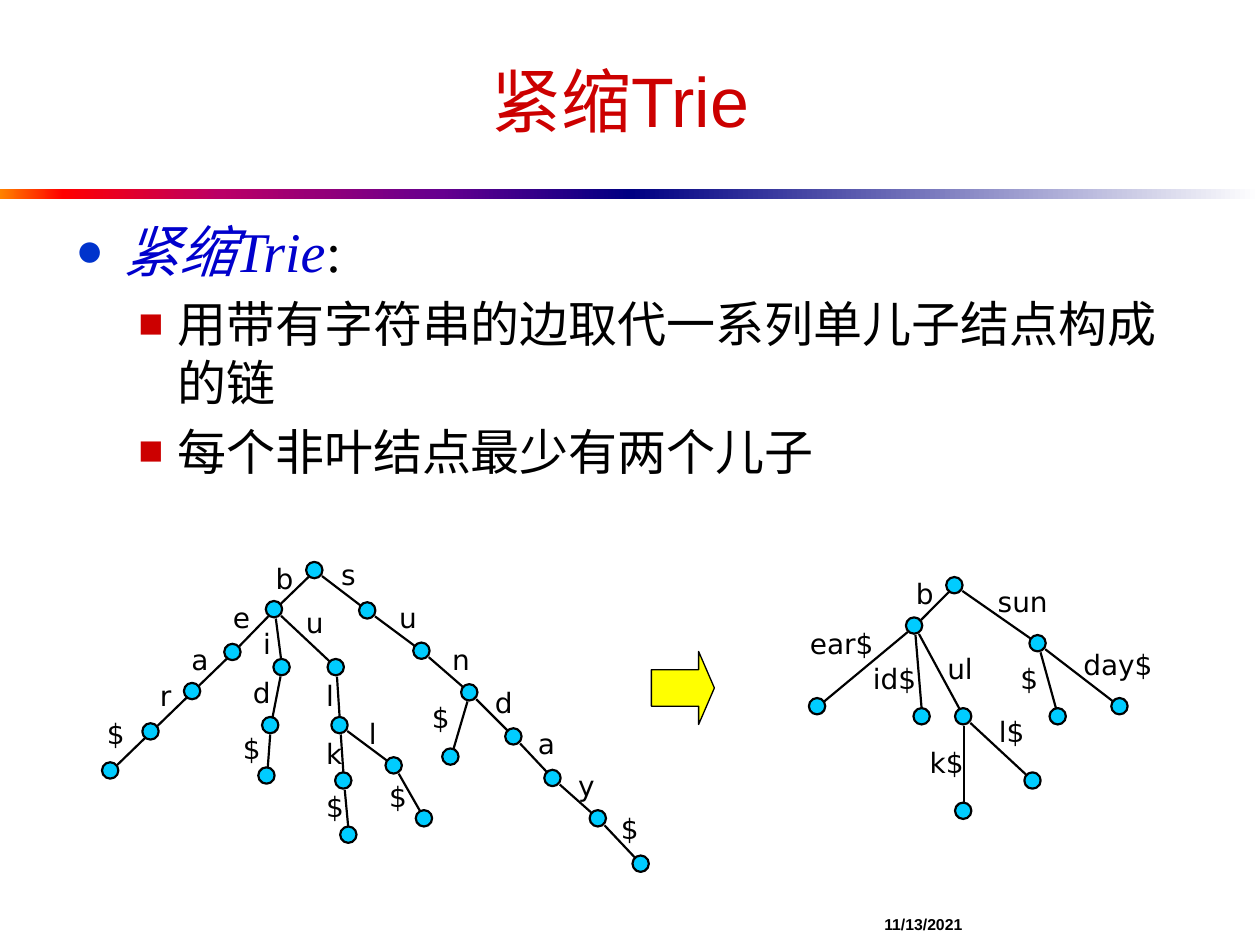
"""Build a slide that compares a plain trie with its compressed form."""
import math

import pptx
import pptx.dml.color
import pptx.enum.shapes
import pptx.enum.text
import pptx.oxml.ns
import pptx.util
from lxml import etree

SHAPES = pptx.enum.shapes.MSO_SHAPE
ANCHOR = pptx.enum.text.MSO_ANCHOR
ALIGN = pptx.enum.text.PP_ALIGN
qn = pptx.oxml.ns.qn

BLACK, RED = "000000", "CC0000"
PLAIN_TRIE = {
    "": (2.5, 4.53), "b": (2.18, 4.84, 2.09, 4.41), "s": (2.92, 4.85, 2.61, 4.38),
    "be": (1.85, 5.18, 1.75, 4.72), "bea": (1.53, 5.49, 1.42, 5.05),
    "bear": (1.2, 5.81, 1.17, 5.34), "bear$": (0.88, 6.12, 0.75, 5.64),
    "bi": (2.24, 5.3, 1.99, 4.92), "bid": (2.15, 5.76, 1.91, 5.31),
    "bid$": (2.12, 6.16, 1.83, 5.76), "bu": (2.67, 5.3, 2.33, 4.76),
    "bul": (2.7, 5.76, 2.49, 5.34), "bulk": (2.73, 6.2, 2.49, 5.8),
    "bulk$": (2.77, 6.63, 2.49, 6.22), "bull": (3.13, 6.08, 2.83, 5.64),
    "bull$": (3.37, 6.5, 2.99, 6.14), "su": (3.35, 5.17, 3.07, 4.72),
    "sun": (3.73, 5.5, 3.49, 5.05), "sun$": (3.58, 6.01, 3.33, 5.51),
    "sund": (4.08, 5.85, 3.83, 5.39), "sunda": (4.39, 6.18, 4.17, 5.72),
    "sunday": (4.75, 6.5, 4.49, 6.05), "sunday$": (5.09, 6.86, 4.83, 6.39),
}
COMPRESSED_TRIE = {
    "": (7.58, 4.65), "b": (7.26, 4.97, 7.17, 4.53), "sun": (8.24, 5.11, 7.82, 4.59),
    "bear$": (6.49, 5.61, 6.33, 4.92), "bid$": (7.32, 5.69, 6.83, 5.2),
    "bul": (7.65, 5.69, 7.42, 5.12), "bulk$": (7.65, 6.44, 7.28, 5.87),
    "bull$": (8.2, 6.2, 7.83, 5.62), "sun$": (8.4, 5.69, 8, 5.2),
    "sunday$": (8.89, 5.61, 8.5, 5.09),
}
GLYPH_WIDTHS = {"i": 0.06, "l": 0.06, "r": 0.1}


def color(value):
    """Return the colour for a hex string."""
    return pptx.dml.color.RGBColor.from_string(value)


def lengths(*inches):
    """Convert inches to slide lengths."""
    return [pptx.util.Cm(value * 2.54) for value in inches]


class SlideBuilder:
    """Hold the slide and the shared style."""

    node_radius = 0.07
    node_fill = "00CCFF"
    line_width = 1.25

    def __init__(self, slide):
        """Keep the slide to draw on."""
        self.slide = slide

    def format_run(self, run, size, font, hex_color, bold=False, italic=False):
        """Apply font settings to a run."""
        run.font.size = pptx.util.Pt(size)
        run.font.name = font
        run.font.color.rgb = color(hex_color)
        run.font.bold, run.font.italic = bold, italic

    def title(self, text, *box):
        """Place and format the title."""
        shape = self.slide.shapes.title
        shape.left, shape.top, shape.width, shape.height = lengths(*box)
        shape.text_frame.text = text
        shape.text_frame.vertical_anchor = ANCHOR.MIDDLE
        paragraph = shape.text_frame.paragraphs[0]
        paragraph.alignment = ALIGN.CENTER
        self.format_run(paragraph.runs[0], 40, "Arial", RED)

    def shape(self, kind, box, fill=None, line_width=None):
        """Add a preset shape."""
        shape = self.slide.shapes.add_shape(kind, *lengths(*box))
        shape.shadow.inherit = False
        if fill:
            shape.fill.solid()
            shape.fill.fore_color.rgb = color(fill)
        if line_width:
            shape.line.color.rgb = color(BLACK)
            shape.line.width = pptx.util.Pt(line_width)
        else:
            shape.line.fill.background()
        return shape

    def gradient_bar(self, box, stops):
        """Add a bar with a left-to-right gradient."""
        shape = self.shape(SHAPES.RECTANGLE, box)
        shape.fill.gradient()
        shape.fill.gradient_angle = 0
        stop_list = next(shape._element.spPr.iter(qn("a:gsLst")))
        for stop in list(stop_list):
            stop_list.remove(stop)
        for percent, value in stops:
            stop = etree.SubElement(stop_list, qn("a:gs"), pos=str(percent * 1000))
            etree.SubElement(stop, qn("a:srgbClr"), val=value)

    def text(self, text, box, size, font, bold=False):
        """Add a one-line text box."""
        frame = self.slide.shapes.add_textbox(*lengths(*box)).text_frame
        frame.word_wrap = False
        frame.text = text
        self.format_run(frame.paragraphs[0].runs[0], size, font, BLACK, bold)
        return frame

    def bullet(self, paragraph, character, hex_color, margin, hanging):
        """Give a paragraph a coloured bullet and a hanging indent."""
        properties = paragraph._p.get_or_add_pPr()
        left, indent = lengths(margin, -hanging)
        properties.set("marL", str(left))
        properties.set("indent", str(indent))
        bullet_color = etree.SubElement(properties, qn("a:buClr"))
        etree.SubElement(bullet_color, qn("a:srgbClr"), val=hex_color)
        etree.SubElement(properties, qn("a:buSzPct"), val="85000")
        etree.SubElement(properties, qn("a:buFont"), typeface="Arial")
        etree.SubElement(properties, qn("a:buChar"), char=character)

    def body(self, term, points, box):
        """Add the defined term and its points."""
        frame = self.slide.shapes.add_textbox(*lengths(*box)).text_frame
        frame.word_wrap = True
        paragraph = frame.paragraphs[0]
        for text, hex_color, italic in ((term, "0000CC", True), (":", BLACK, False)):
            run = paragraph.add_run()
            run.text = text
            self.format_run(run, 32, "Times New Roman", hex_color, italic=italic)
        paragraph.space_before = pptx.util.Pt(6.4)
        self.bullet(paragraph, "●", "0033CC", 0.38, 0.38)
        for text in points:
            paragraph = frame.add_paragraph()
            paragraph.text = text
            paragraph.level = 1
            paragraph.space_before = pptx.util.Pt(5.6)
            self.format_run(paragraph.runs[0], 28, "Times New Roman", BLACK)
            self.bullet(paragraph, "■", RED, 0.81, 0.31)

    def edge(self, start, end):
        """Join the rims of two nodes with a line."""
        distance = math.dist(start, end)
        dx, dy = [(b - a) * self.node_radius / distance for a, b in zip(start, end)]
        connector = self.slide.shapes.add_connector(
            pptx.enum.shapes.MSO_CONNECTOR.STRAIGHT,
            *lengths(start[0] + dx, start[1] + dy, end[0] - dx, end[1] - dy))
        connector.line.color.rgb = color(BLACK)
        connector.line.width = pptx.util.Pt(self.line_width)
        etree.SubElement(connector._element.spPr, qn("a:effectLst"))

    def trie(self, nodes):
        """Draw a trie whose keys are the prefixes that its nodes spell."""
        for prefix, (x, y, *label_position) in nodes.items():
            radius = self.node_radius
            self.shape(SHAPES.OVAL, (x - radius, y - radius, 0.13, 0.13),
                       self.node_fill, self.line_width)
            if prefix:
                parent = max((key for key in nodes if key != prefix and prefix.startswith(key)),
                             key=len)
                self.edge(nodes[parent][:2], (x, y))
                label = prefix[len(parent):]
                width = 0.2 + sum(GLYPH_WIDTHS.get(letter, 0.14) for letter in label)
                self.text(label, (*label_position, width, 0.37), 16, "DejaVu Sans")


def main():
    """Create and save the presentation."""
    presentation = pptx.Presentation()
    presentation.slide_width, presentation.slide_height = lengths(10, 7.5)
    builder = SlideBuilder(presentation.slides.add_slide(presentation.slide_layouts[5]))
    builder.gradient_bar((0, 1.5, 5, 0.08), [
        (0, "FF8200"), (10, "FF0000"), (35, "BA0066"), (70, "66008F"), (100, "000082")])
    builder.gradient_bar((5, 1.5, 5, 0.08), [(0, "000082"), (100, "FFFFFF")])
    builder.title("紧缩Trie ", 0.5, 0.25, 9, 1.08)
    builder.body("紧缩Trie", ["用带有字符串的边取代一系列单儿子结点构成的链",
                            "每个非叶结点最少有两个儿子"], (0.5, 1.67, 9, 2.19))
    builder.trie(PLAIN_TRIE)
    builder.trie(COMPRESSED_TRIE)
    arrow = builder.shape(SHAPES.RIGHT_ARROW, (5.17, 5.17, 0.5, 0.58), "FFFF00", 0.75)
    arrow.adjustments[0], arrow.adjustments[1] = 0.5, 0.25
    date = builder.text("11/13/2021", (6.92, 7.17, 0.82, 0.33), 9, "Arial", bold=True)
    date.vertical_anchor = ANCHOR.MIDDLE
    presentation.save("out.pptx")


if __name__ == "__main__":
    main()
